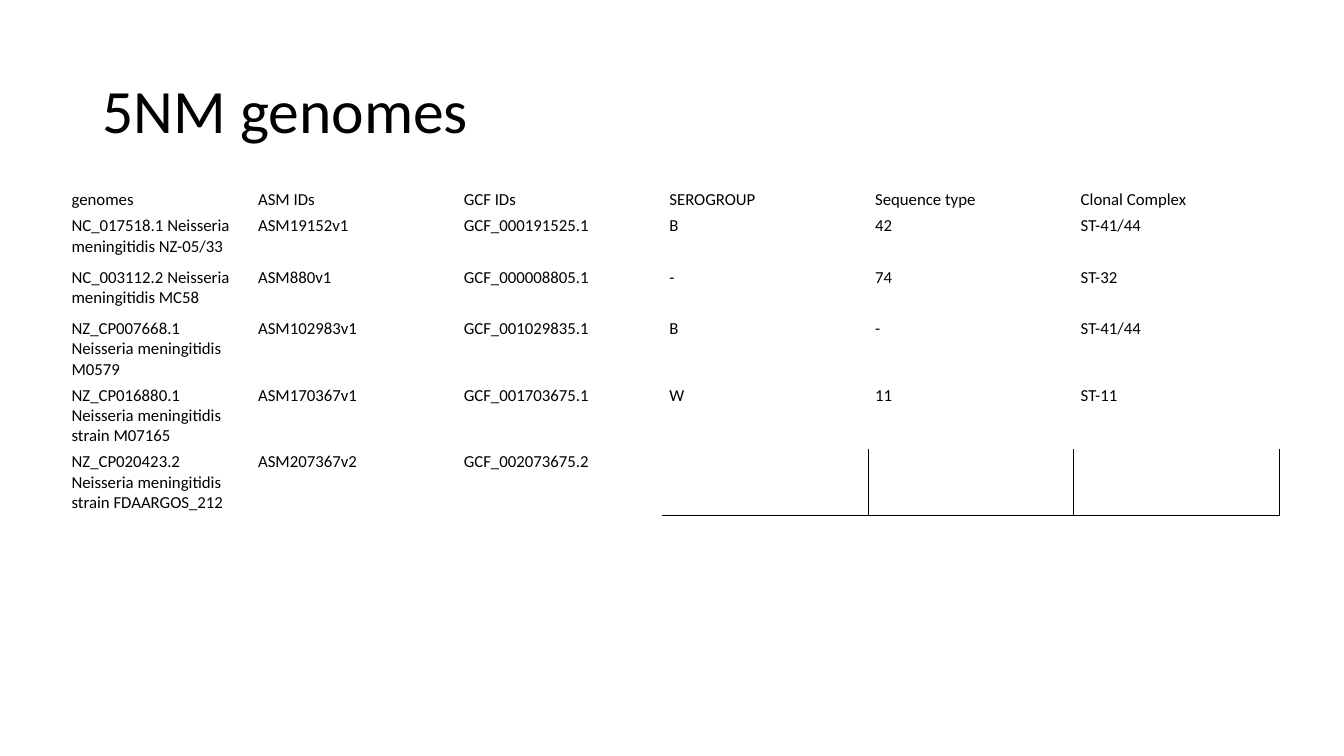
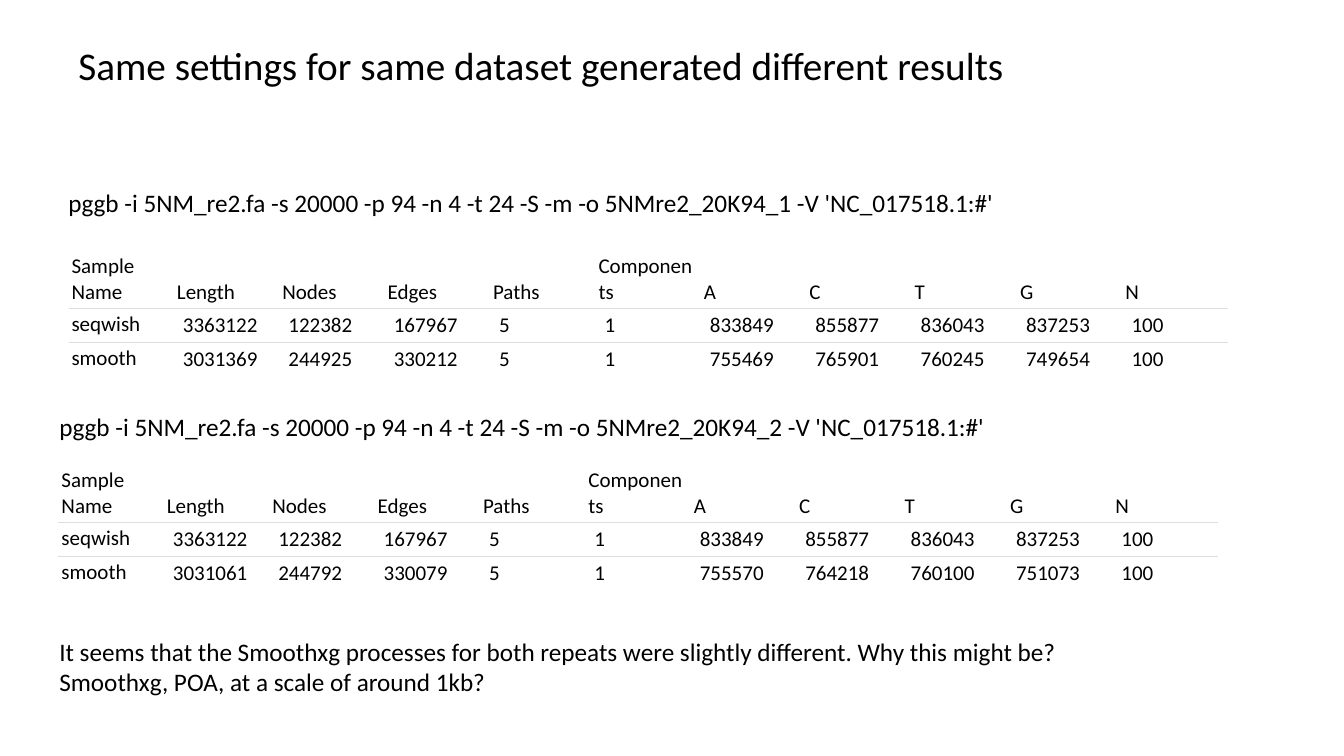
from dataclasses import dataclass
from typing import Callable

from lxml.etree import SubElement
from pptx import Presentation
from pptx.dml.color import RGBColor
from pptx.enum.text import MSO_ANCHOR as Anchor, MSO_AUTO_SIZE as AutoSize
from pptx.oxml import parse_xml
from pptx.oxml.ns import nsdecls, qn
from pptx.util import Inches, Pt


@dataclass(frozen=True)
class Theme:
    font: str = "Calibri"
    ink: str = "000000"
    paper: str = "FFFFFF"
    rule: str = "DDDDDD"
    title: int = 44
    subtitle: int = 28
    body: int = 18
    result: int = 15
    genome: int = 12
    no_style: str = "{2D5ABB26-0587-4C30-8999-92F81FD0307C}"


@dataclass(frozen=True)
class Box:
    left: float
    top: float
    width: float
    height: float

    def lengths(self) -> list[int]:
        return [Inches(v) for v in (self.left, self.top, self.width, self.height)]


@dataclass(frozen=True)
class CellFormat:
    inset_x: float
    inset_y: float
    anchor: Anchor = Anchor.TOP


@dataclass(frozen=True)
class Grid:
    box: Box
    widths: list[float]
    heights: list[float]
    rows: list[list[str]]
    size: int
    line: str
    line_width: float
    edges: Callable[[int, int], str]
    cell_format: Callable[[int, int], CellFormat]
    filled: bool


@dataclass(frozen=True)
class Run:
    command: str
    command_box: Box
    table_box: Box
    smooth: list[str]


THEME = Theme()

GENOMES = [
    ["genomes", "ASM IDs", "GCF IDs", "SEROGROUP", "Sequence type", "Clonal Complex"],
    ["NC_017518.1 Neisseria meningitidis NZ-05/33", "ASM19152v1", "GCF_000191525.1", "B", "42", "ST-41/44"],
    ["NC_003112.2 Neisseria meningitidis MC58", "ASM880v1", "GCF_000008805.1", "-", "74", "ST-32"],
    ["NZ_CP007668.1 Neisseria meningitidis M0579", "ASM102983v1", "GCF_001029835.1", "B", "-", "ST-41/44"],
    ["NZ_CP016880.1 Neisseria meningitidis strain M07165", "ASM170367v1", "GCF_001703675.1", "W", "11", "ST-11"],
    ["NZ_CP020423.2 Neisseria meningitidis strain FDAARGOS_212", "ASM207367v2", "GCF_002073675.2", "", "", ""],
]

METRICS = ["Sample Name", "Length", "Nodes", "Edges", "Paths", "Components", "A", "C", "T", "G", "N"]
SEQWISH = ["seqwish", "3363122", "122382", "167967", "5", "1", "833849", "855877", "836043", "837253", "100"]
COMMAND = "pggb -i 5NM_re2.fa -s 20000 -p 94 -n 4 -t 24 -S -m -o 5NMre2_20K94_{} -V 'NC_017518.1:#'"

RUNS = [
    Run(COMMAND.format(1), Box(0.58, 1.81, 11.04, 0.4), Box(0.68, 2.49, 11.5, 1.26),
        ["smooth", "3031369", "244925", "330212", "5", "1", "755469", "765901", "760245", "749654", "100"]),
    Run(COMMAND.format(2), Box(0.49, 4.03, 12.14, 0.4), Box(0.58, 4.61, 11.5, 1.26),
        ["smooth", "3031061", "244792", "330079", "5", "1", "755570", "764218", "760100", "751073", "100"]),
]


def apply(target: object, values: dict[str, object]) -> None:
    for name, value in values.items():
        setattr(target, name, value)


def write(p, text: str, size: int) -> None:
    r = p.add_run()
    r.text = text
    apply(r.font, {"name": THEME.font, "size": Pt(size)})
    r.font.color.rgb = RGBColor.from_string(THEME.ink)


def add_text(s, box: Box, lines: list[str], size: int, frame: dict[str, object],
             spacing: float = 1.0) -> None:
    tf = s.shapes.add_textbox(*box.lengths()).text_frame
    apply(tf, {"word_wrap": True, **frame})
    for i, line in enumerate(lines):
        p = tf.add_paragraph() if i else tf.paragraphs[0]
        p.line_spacing = spacing
        write(p, line, size)


def add_title(s, box: Box, text: str, size: int) -> None:
    add_text(s, box, [text], size, {"vertical_anchor": Anchor.MIDDLE}, 0.9)


def add_body(s, box: Box, lines: list[str]) -> None:
    add_text(s, box, lines, THEME.body, {"auto_size": AutoSize.SHAPE_TO_FIT_TEXT})


def set_borders(cell, edges: str, color: str, width: float) -> None:
    tc_pr = cell._tc.get_or_add_tcPr()
    for i, side in enumerate("LRTB"):
        ln = parse_xml(f'<a:ln{side} {nsdecls("a")} w="{Pt(width)}"/>')
        if side in edges:
            fill = SubElement(ln, qn("a:solidFill"))
            SubElement(fill, qn("a:srgbClr"), val=color)
        else:
            SubElement(ln, qn("a:noFill"))
        tc_pr.insert(i, ln)


def fill_cell(cell, text: str, grid: Grid, row: int, col: int) -> None:
    form = grid.cell_format(row, col)
    x, y = Inches(form.inset_x), Inches(form.inset_y)
    apply(cell, {"margin_left": x, "margin_right": x, "margin_top": y,
                 "margin_bottom": y, "vertical_anchor": form.anchor})
    write(cell.text_frame.paragraphs[0], text, grid.size)
    if grid.filled:
        cell.fill.solid()
        cell.fill.fore_color.rgb = RGBColor.from_string(THEME.paper)
    else:
        cell.fill.background()
    set_borders(cell, grid.edges(row, col), grid.line, grid.line_width)


def add_grid(s, grid: Grid) -> None:
    shape = s.shapes.add_table(len(grid.rows), len(grid.widths), *grid.box.lengths())
    table = shape.table
    apply(table, {"first_row": False, "horz_banding": False})
    table._tbl.tblPr.find(qn("a:tableStyleId")).text = THEME.no_style
    for column, width in zip(table.columns, grid.widths):
        column.width = Inches(width)
    for row, height in zip(table.rows, grid.heights):
        row.height = Inches(height)
    for i, values in enumerate(grid.rows):
        for j, text in enumerate(values):
            fill_cell(table.cell(i, j), text, grid, i, j)


def genome_edges(row: int, col: int) -> str:
    if row < len(GENOMES) - 1 or col < 3:
        return ""
    return "RB" if col == 3 else "LRB"


def result_edges(row: int, col: int) -> str:
    return ("B", "TB", "T")[row]


def genome_format(row: int, col: int) -> CellFormat:
    return CellFormat(0.07, 0.03)


def result_format(row: int, col: int) -> CellFormat:
    if row == 0:
        return CellFormat(0.03, 0.03, Anchor.BOTTOM)
    return CellFormat(0.03, 0.03) if col == 0 else CellFormat(0.09, 0.04)


def genomes_slide(s) -> None:
    add_title(s, Box(0.92, 0.4, 11.5, 1.45), "5NM genomes", THEME.title)
    add_grid(s, Grid(
        Box(0.64, 1.85, 12.05, 3.28), [1.85] + [2.04] * 5,
        [0.23, 0.51, 0.51, 0.57, 0.57, 0.62], GENOMES, THEME.genome,
        THEME.ink, 0.75, genome_edges, genome_format, False))


def results_slide(s) -> None:
    add_title(s, Box(0.68, 0.21, 11.5, 0.92),
              "Same settings for same dataset generated different results", THEME.subtitle)
    for run in RUNS:
        add_body(s, run.command_box, [run.command])
        add_grid(s, Grid(
            run.table_box, [run.table_box.width / len(METRICS)] * len(METRICS),
            [0.57, 0.34, 0.34], [METRICS, SEQWISH, run.smooth], THEME.result,
            THEME.rule, 0.5, result_edges, result_format, True))
    add_body(s, Box(0.49, 6.26, 11.04, 0.71), [
        "It seems that the Smoothxg processes for both repeats were slightly different. Why this might be?",
        "Smoothxg, POA, at a scale of around 1kb?",
    ])


def main() -> None:
    prs = Presentation()
    apply(prs, {"slide_width": Inches(13.33), "slide_height": Inches(7.5)})
    for build in (genomes_slide, results_slide):
        build(prs.slides.add_slide(prs.slide_layouts[6]))
    prs.save("out.pptx")


if __name__ == "__main__":
    main()
